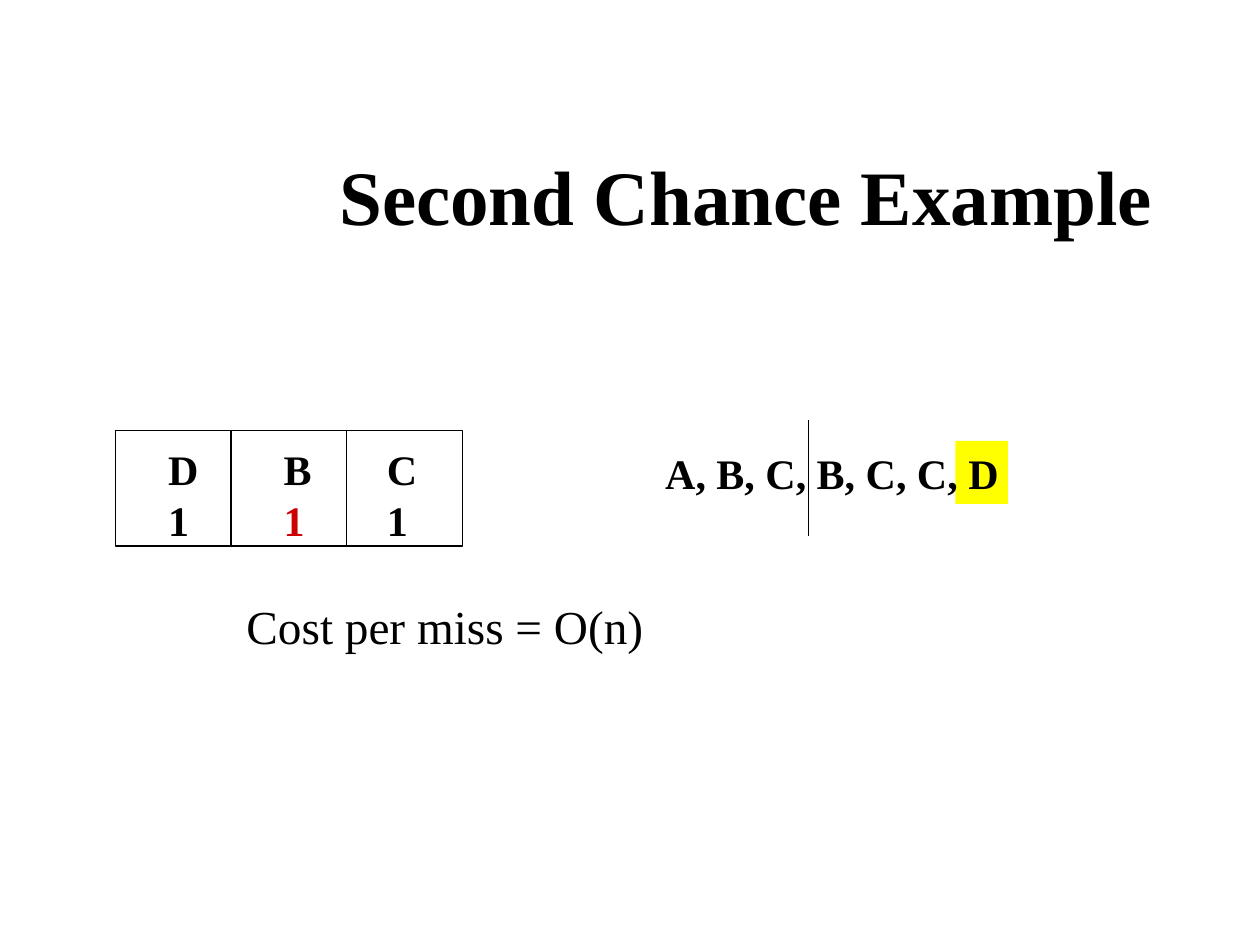
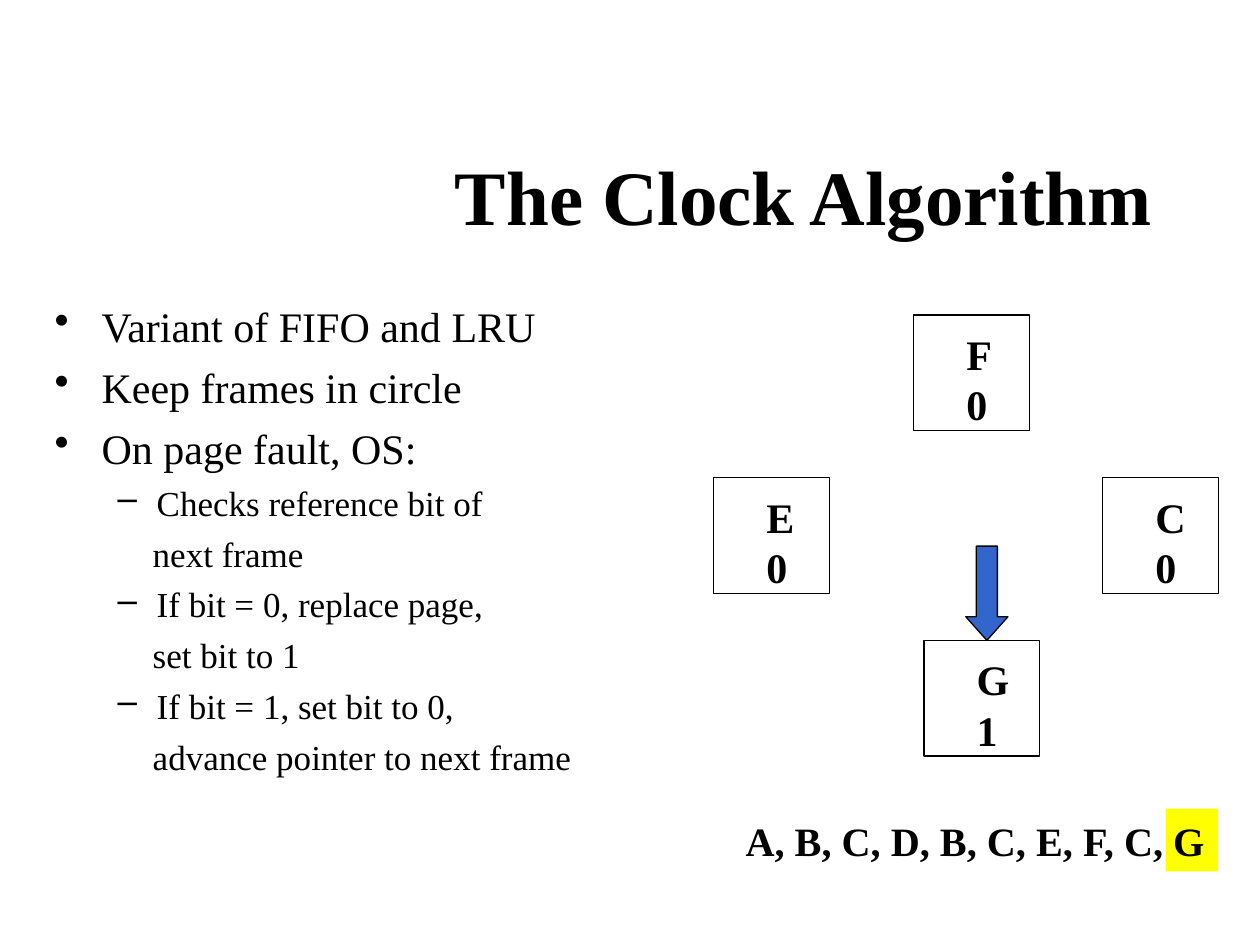
from lxml import etree
from pptx import Presentation
from pptx import util as u
from pptx.dml.color import RGBColor
from pptx.enum import shapes, text
from pptx.oxml.ns import qn

FONT = "Times New Roman"
COLORS = {
    "ink": "000000",
    "paper": "FFFFFF",
    "changed": "CC0000",
    "highlight": "FFFF00",
    "pointer": "3366CC",
}
FRAME_SIZE = 2.33
LABEL_INSET = 1.06

# Bullet levels: bullet sign, text margin, first-line indent, size, space before
LEVELS = {
    "point": ("•", 0.95, -0.95, 24, 6),
    "step": ("–", 2.06, -0.79, 20, 5),
    "step continued": (None, 1.98, 0, 20, 5),
}


def color(name):
    return RGBColor.from_string(COLORS[name])


def set_values(target, values):
    for name, value in values.items():
        setattr(target, name, value)


def write(para, words, size, bold=False, ink="ink"):
    span = para.add_run()
    span.text = words
    set_values(span.font, {"name": FONT, "size": u.Pt(size), "bold": bold})
    span.font.color.rgb = color(ink)


def add_text(page, place, words, size, bold=False,
             align=text.PP_ALIGN.LEFT, anchor=text.MSO_ANCHOR.TOP):
    box = page.shapes.add_textbox(*map(u.Cm, place))
    set_values(box.text_frame, {"word_wrap": True, "vertical_anchor": anchor})
    para = box.text_frame.paragraphs[0]
    para.alignment = align
    write(para, words, size, bold)


def add_title(page, words):
    add_text(page, (5.29, 2.33, 18.2, 3.18), words, 44, bold=True,
             align=text.PP_ALIGN.RIGHT, anchor=text.MSO_ANCHOR.MIDDLE)


def add_block(page, kind, place, fill=None, outlined=True):
    block = page.shapes.add_shape(kind, *map(u.Cm, place))
    block.shadow.inherit = False
    if fill:
        block.fill.solid()
        block.fill.fore_color.rgb = color(fill)
    else:
        block.fill.background()
    if outlined:
        block.line.color.rgb = color("ink")
        block.line.width = u.Pt(0.75)
    else:
        block.line.fill.background()
    return block


def add_highlight(page, left, top):
    add_block(page, shapes.MSO_SHAPE.RECTANGLE, (left, top, 1.06, 1.27),
              fill="highlight", outlined=False)


def add_frame(page, left, top, name, bit, bit_ink="ink", inset=LABEL_INSET):
    """A memory frame: page name above its reference bit."""
    frame = add_block(page, shapes.MSO_SHAPE.RECTANGLE,
                      (left, top, FRAME_SIZE, FRAME_SIZE))
    label = frame.text_frame
    set_values(label, {
        "word_wrap": True,
        "vertical_anchor": text.MSO_ANCHOR.TOP,
        "margin_left": u.Cm(inset),
        "margin_top": u.Cm(0.27),
        "margin_right": 0,
        "margin_bottom": 0,
    })
    paras = (label.paragraphs[0], label.add_paragraph())
    for para, words, ink in zip(paras, (name, bit), ("ink", bit_ink)):
        para.alignment = text.PP_ALIGN.LEFT
        write(para, words, 24, bold=True, ink=ink)


def add_divider(page, left, top, bottom):
    line = page.shapes.add_connector(shapes.MSO_CONNECTOR.STRAIGHT,
                                     u.Cm(left), u.Cm(top), u.Cm(left), u.Cm(bottom))
    line.line.color.rgb = color("ink")
    line.line.width = u.Pt(0.75)
    etree.SubElement(line._element.spPr, qn("a:effectLst"))


def add_bullets(page, place, items):
    box = page.shapes.add_textbox(*map(u.Cm, place))
    box.text_frame.word_wrap = True
    for index, (level, words) in enumerate(items):
        sign, margin, indent, size, space = LEVELS[level]
        para = box.text_frame.add_paragraph() if index else box.text_frame.paragraphs[0]
        para.space_before = u.Pt(space if index else 0)
        props = para._p.get_or_add_pPr()
        props.set("marL", str(u.Cm(margin)))
        props.set("indent", str(u.Cm(indent)))
        if sign:
            tint = etree.SubElement(props, qn("a:buClr"))
            etree.SubElement(tint, qn("a:srgbClr"), val=COLORS["ink"])
            etree.SubElement(props, qn("a:buChar"), char=sign)
        write(para, words, size)


def add_page(deck, title):
    page = deck.slides.add_slide(deck.slide_layouts[6])
    page.background.fill.solid()
    page.background.fill.fore_color.rgb = color("paper")
    add_title(page, title)
    return page


def build_second_chance(deck):
    page = add_page(deck, "Second Chance Example")

    # Row of frames
    frames = (("D", "1", "ink", LABEL_INSET),
              ("B", "1", "changed", LABEL_INSET),
              ("C", "1", "ink", 0.81))
    for index, frame in enumerate(frames):
        add_frame(page, FRAME_SIZE * (index + 1), 8.68, *frame)

    # Reference string with the current page highlighted
    add_highlight(page, 19.26, 8.89)
    add_text(page, (13.16, 8.89, 7.44, 1.27), "A, B, C, B, C, C, D", 24, bold=True)
    add_divider(page, 16.3, 8.47, 10.8)

    add_text(page, (4.72, 11.91, 9.5, 1.4), "Cost per miss = O(n)", 27)


def build_clock(deck):
    page = add_page(deck, "The Clock Algorithm")
    add_bullets(page, (0.85, 5.93, 13.97, 11.01), (
        ("point", "Variant of FIFO and LRU"),
        ("point", "Keep frames in circle"),
        ("point", "On page fault, OS:"),
        ("step", "Checks reference bit of"),
        ("step continued", "next frame"),
        ("step", "If bit = 0, replace page,"),
        ("step continued", "set bit to 1"),
        ("step", "If bit = 1, set bit to 0,"),
        ("step continued", "advance pointer to next frame"),
    ))

    # Reference string with the current page highlighted
    add_highlight(page, 23.5, 16.3)
    add_text(page, (14.78, 16.33, 10.16, 1.24), "A, B, C, D, B, C, E, F, C, G", 23, bold=True)

    # Circle of frames and the clock hand
    for frame in ((14.39, 9.63, "E", "0"), (22.23, 9.63, "C", "0"),
                  (18.63, 12.91, "G", "1"), (18.42, 6.35, "F", "0")):
        add_frame(page, *frame)
    hand = add_block(page, shapes.MSO_SHAPE.DOWN_ARROW, (19.47, 11.01, 0.85, 1.9),
                     fill="pointer")
    hand.adjustments[0] = 0.5
    hand.adjustments[1] = 0.56


def main():
    deck = Presentation()
    set_values(deck, {"slide_width": u.Cm(25.4), "slide_height": u.Cm(19.05)})
    build_second_chance(deck)
    build_clock(deck)
    deck.save("out.pptx")


if __name__ == "__main__":
    main()
